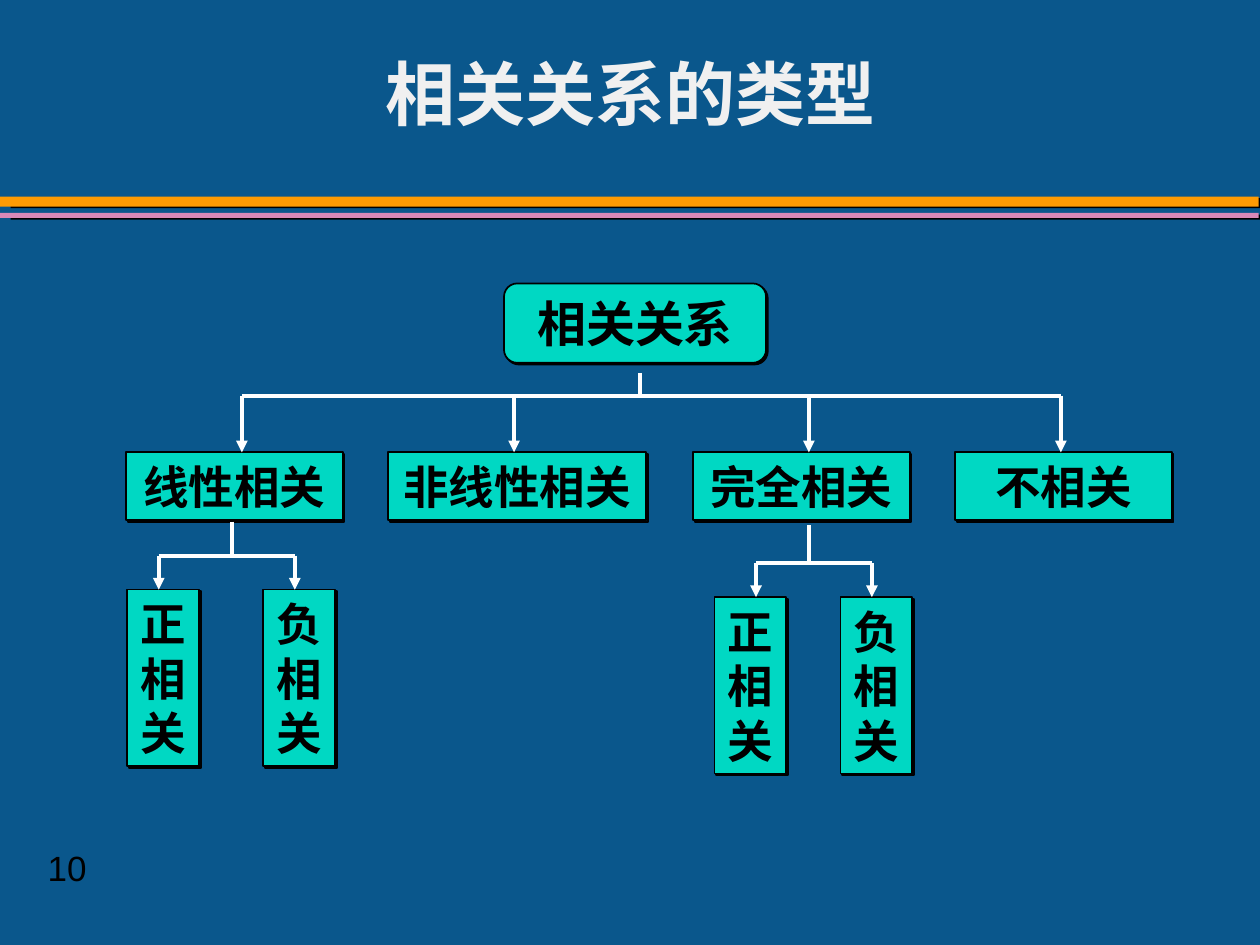
import pptx
import pptx.util
import pptx.dml.color
import pptx.enum.shapes
import pptx.enum.text
import pptx.oxml.ns
from lxml import etree

Inches = pptx.util.Inches
Pt = pptx.util.Pt
RGBColor = pptx.dml.color.RGBColor
SHAPE = pptx.enum.shapes.MSO_SHAPE
ANCHOR = pptx.enum.text.MSO_ANCHOR
ALIGN = pptx.enum.text.PP_ALIGN
qn = pptx.oxml.ns.qn

BLUE = RGBColor(0x0A, 0x57, 0x8C)
ORANGE = RGBColor(0xFE, 0x9B, 0x03)
PINK = RGBColor(0xD9, 0x89, 0xB8)
TEAL = RGBColor(0x00, 0xD8, 0xC3)
BLACK = RGBColor(0, 0, 0)
WHITE = RGBColor(0xFF, 0xFF, 0xFF)
OFF_WHITE = RGBColor(0xF0, 0xF0, 0xF0)

TITLE = "相关关系的类型"
PAGE = "10"
BANDS = [(1.56, 0.08, ORANGE), (1.69, 0.04, PINK)]
ROOT = ("相关关系", 4, 2.25, 2.08, 0.63)
TYPE_TOP, TYPE_H = 3.59, 0.54
TYPES = [
    ("线性相关", 1, 1.72, 1.92),
    ("非线性相关", 3.08, 2.05, 4.08),
    ("完全相关", 5.5, 1.72, 6.42),
    ("不相关", 7.58, 1.72, 8.42),
]
SIGN_W, SIGN_H, DROP = 0.57, 1.4, 0.27
SIGNS = [
    {"stem": (1.84, 4.14), "top": 4.68,
     "boxes": [("正相关", 1.01, 1.26), ("负相关", 2.09, 2.34)]},
    {"stem": (6.42, 4.17), "top": 4.74,
     "boxes": [("正相关", 5.67, 6), ("负相关", 6.67, 6.92)]},
]
BUS_Y, ROOT_X, ROOT_STEM = 3.14, 5.08, 2.96

TITLE_FONT = {"name": "Cambria", "size": Pt(40), "bold": True}
ROOT_FONT = {"name": "Arial", "size": Pt(28), "bold": True}
NODE_FONT = {"name": "Arial", "size": Pt(26), "bold": True}
PAGE_FONT = {"name": "Arial", "size": Pt(20), "bold": False}


def write(sp, text, font, color, align):
    tf = sp.text_frame
    tf.word_wrap = True
    tf.vertical_anchor = ANCHOR.MIDDLE
    p = tf.paragraphs[0]
    p.alignment = align
    r = p.add_run()
    r.text = text
    for name, value in font.items():
        setattr(r.font, name, value)
    r.font.color.rgb = color
    return p


def add_box(s, kind, box, fill, shadow, outline=None):
    sp = s.shapes.add_shape(kind, *map(Inches, box))
    sp.fill.solid()
    sp.fill.fore_color.rgb = fill
    if outline is None:
        sp.line.fill.background()
    else:
        sp.line.color.rgb = outline
        sp.line.width = Pt(1)
    sp.shadow.inherit = False
    dist, angle = shadow
    effects = sp._element.spPr.find(qn("a:effectLst"))
    outer = etree.SubElement(effects, qn("a:outerShdw"), blurRad="0",
                             dist=str(Pt(dist)), dir=str(angle * 60000),
                             algn="ctr", rotWithShape="0")
    etree.SubElement(outer, qn("a:srgbClr"), val=str(BLACK))
    return sp


def add_node(s, text, box, font=NODE_FONT, kind=SHAPE.RECTANGLE):
    sp = add_box(s, kind, box, TEAL, (1.4, 45), BLACK)
    write(sp, text, font, BLACK, ALIGN.CENTER)


def add_line(s, x1, y1, x2, y2, arrow=False):
    cn = s.shapes.add_connector(pptx.enum.shapes.MSO_CONNECTOR.STRAIGHT,
                                *map(Inches, (x1, y1, x2, y2)))
    cn.line.color.rgb = WHITE
    cn.line.width = Pt(2.25)
    if arrow:
        etree.SubElement(cn.line._get_or_add_ln(), qn("a:tailEnd"), type="triangle")
    etree.SubElement(cn._element.spPr, qn("a:effectLst"))


def main():
    prs = pptx.Presentation()
    prs.slide_width, prs.slide_height = Inches(10), Inches(7.5)
    s = prs.slides.add_slide(prs.slide_layouts[5])
    s.background.fill.solid()
    s.background.fill.fore_color.rgb = BLUE

    for top, height, color in BANDS:
        add_box(s, SHAPE.RECTANGLE, (0, top, 9.99, height), color, (6.1, 9))

    title = s.shapes.title
    title.left, title.top, title.width, title.height = map(Inches, (1.17, 0.33, 7.67, 0.87))
    write(title, TITLE, TITLE_FONT, OFF_WHITE, ALIGN.CENTER).line_spacing = 0.95

    page = s.shapes.add_textbox(*map(Inches, (0.28, 6.67, 1.47, 0.43)))
    write(page, PAGE, PAGE_FONT, BLACK, ALIGN.LEFT)

    text, *box = ROOT
    add_node(s, text, box, ROOT_FONT, SHAPE.ROUNDED_RECTANGLE)
    add_line(s, ROOT_X, ROOT_STEM, ROOT_X, BUS_Y)
    add_line(s, TYPES[0][3], BUS_Y, TYPES[-1][3], BUS_Y)
    for text, left, width, x in TYPES:
        add_node(s, text, (left, TYPE_TOP, width, TYPE_H))
        add_line(s, x, BUS_Y, x, TYPE_TOP, arrow=True)

    for group in SIGNS:
        x, y = group["stem"]
        top, boxes = group["top"], group["boxes"]
        bus = top - DROP
        add_line(s, x, y, x, bus)
        add_line(s, boxes[0][2], bus, boxes[-1][2], bus)
        for text, left, arrow_x in boxes:
            add_node(s, text, (left, top, SIGN_W, SIGN_H))
            add_line(s, arrow_x, bus, arrow_x, top, arrow=True)

    prs.save("out.pptx")


if __name__ == "__main__":
    main()
